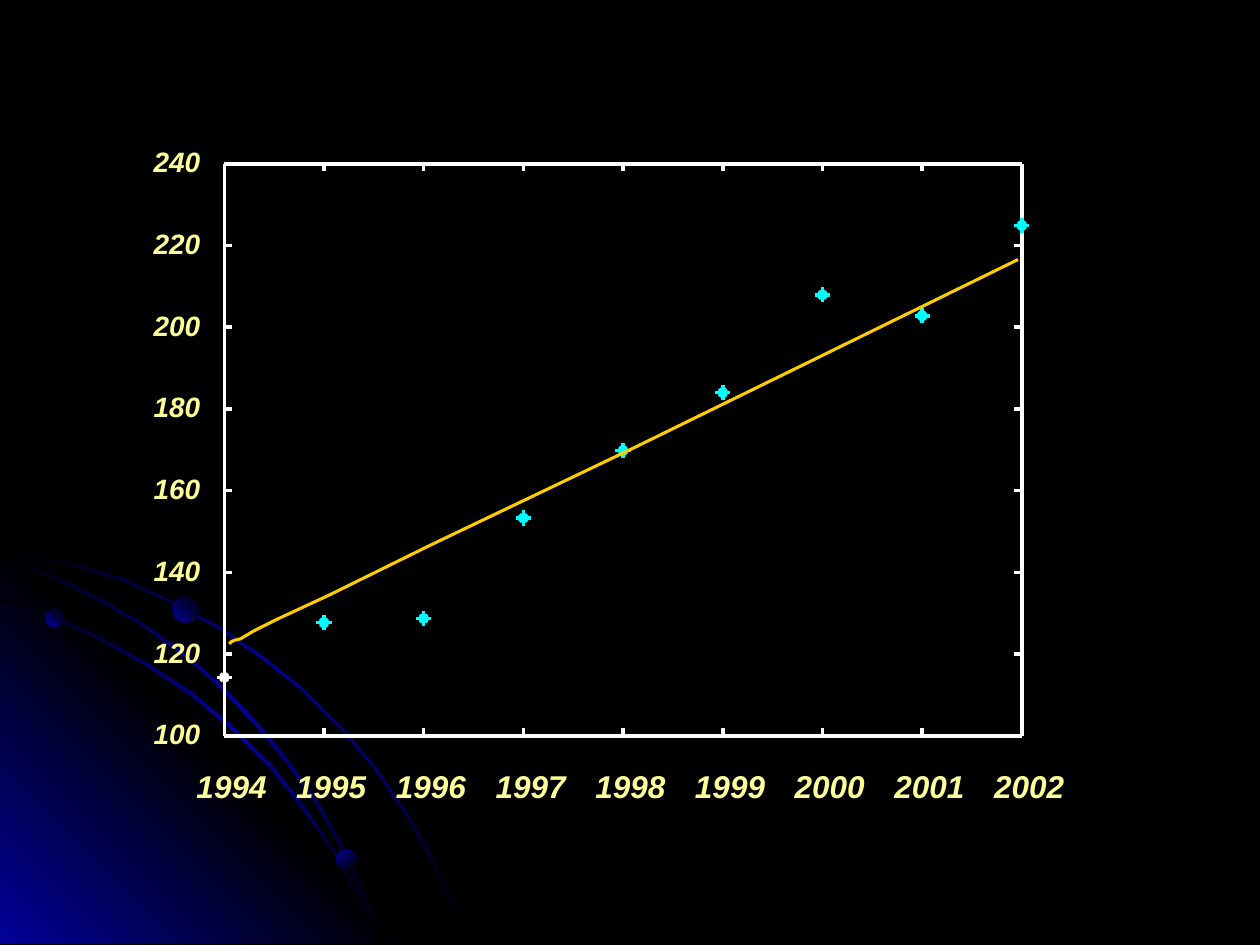
from dataclasses import dataclass

from lxml import etree
from pptx import Presentation
from pptx.dml.color import RGBColor
from pptx.enum.shapes import MSO_CONNECTOR, MSO_SHAPE
from pptx.enum.text import MSO_AUTO_SIZE
from pptx.oxml.ns import qn
from pptx.util import Cm, Pt

LINE, RECT, OVAL = MSO_CONNECTOR.STRAIGHT, MSO_SHAPE.RECTANGLE, MSO_SHAPE.OVAL
FIT = MSO_AUTO_SIZE.SHAPE_TO_FIT_TEXT

BLACK, BLUE, WHITE = "000000", "010199", "FFFFFF"
CYAN, GOLD, CREAM = "00FFFF", "FFCC00", "FFFF99"

# Plot area in inches
LEFT, TOP, RIGHT, BASE = 1.78, 1.3, 8.11, 5.84
FIRST, LAST = 1994, 2002
LOW, HIGH, STEP = 100, 240, 20
TICK = 0.06


@dataclass
class Band:
    points: list[tuple[float, float]]
    hues: tuple[str, ...]
    angle: int


@dataclass
class Ball:
    left: float
    top: float
    size: float
    angle: int


@dataclass
class Mark:
    year: int
    value: float
    hue: str = CYAN
    width: float = 2


GLOW = (BLACK, BLUE, BLACK)
BANDS = [
    Band([(0.57, 4.47), (0.28, 4.41), (0, 4.35), (0, 4.38), (0.28, 4.43),
          (0.56, 4.49), (0.97, 4.61), (1.35, 4.78), (1.73, 4.99), (2.08, 5.23),
          (2.41, 5.49), (2.71, 5.79), (2.98, 6.12), (3.23, 6.49), (3.37, 6.73),
          (3.5, 6.98), (3.6, 7.23), (3.7, 7.49), (3.72, 7.49), (3.62, 7.23),
          (3.52, 6.98), (3.39, 6.73), (3.25, 6.48), (3, 6.11), (2.72, 5.78),
          (2.42, 5.48), (2.09, 5.21), (1.74, 4.97), (1.36, 4.77), (0.98, 4.59)],
         GLOW, 45),
    Band([(3.22, 7.49), (0, 7.49), (0, 4.27)], (BLUE, BLACK, BLUE), 315),
    Band([(2.85, 7.14), (2.94, 7.32), (3.01, 7.49), (3.03, 7.49), (2.96, 7.3),
          (2.86, 7.12), (2.66, 6.76), (2.42, 6.4), (2.15, 6.06), (1.84, 5.76),
          (1.52, 5.49), (1.17, 5.26), (0.79, 5.05), (0.41, 4.88), (0, 4.75),
          (0, 4.77), (0.39, 4.9), (0.77, 5.07), (1.15, 5.28), (1.5, 5.51),
          (1.83, 5.78), (2.13, 6.08), (2.4, 6.42), (2.65, 6.77)], GLOW, 45),
    Band([(0, 4.42), (0, 4.44), (0.36, 4.57), (0.74, 4.75), (1.09, 4.94),
          (1.42, 5.18), (1.73, 5.44), (2.02, 5.75), (2.27, 6.05), (2.52, 6.41),
          (2.67, 6.67), (2.8, 6.94), (2.92, 7.22), (3.01, 7.49), (3.03, 7.49),
          (2.94, 7.2), (2.82, 6.93), (2.69, 6.65), (2.54, 6.39), (2.29, 6.03),
          (2.04, 5.73), (1.75, 5.43), (1.44, 5.16), (1.11, 4.93), (0.76, 4.73),
          (0.39, 4.55)], GLOW, 45),
]
BALLS = [Ball(0.36, 4.83, 0.15, 315), Ball(2.67, 6.74, 0.16, 45),
         Ball(1.37, 4.73, 0.21, 315)]
MARKS = [Mark(1994, 114.3, WHITE, 0), Mark(1995, 127.7), Mark(1996, 128.7),
         Mark(1997, 153.3), Mark(1998, 169.8), Mark(1999, 184),
         Mark(2000, 207.9), Mark(2001, 202.8), Mark(2002, 224.9)]
TREND = [(1.82, 5.11), (1.84, 5.09), (1.87, 5.08), (1.91, 5.07), (2.01, 5.01),
         (2.21, 4.91), (2.62, 4.72), (3.41, 4.33), (5.02, 3.56), (8.08, 2.06)]


def inch(size: float) -> int:
    return Cm(size * 2.54)


def rgb(code: str) -> RGBColor:
    return RGBColor.from_string(code)


def year_x(year: int) -> float:
    return LEFT + (RIGHT - LEFT) * (year - FIRST) / (LAST - FIRST)


def value_y(value: float) -> float:
    return BASE - (BASE - TOP) * (value - LOW) / (HIGH - LOW)


def shade(shape, hues: tuple[str, ...], angle: int) -> None:
    """Fill with an even gradient and no outline."""
    shape.shadow.inherit = False
    shape.line.fill.background()
    shape.fill.gradient()
    grad = shape.element.spPr.find(qn("a:gradFill"))
    for child in list(grad):
        grad.remove(child)
    stops = etree.SubElement(grad, qn("a:gsLst"))
    for i, hue in enumerate(hues):
        pos = str(100000 * i // (len(hues) - 1))
        stop = etree.SubElement(stops, qn("a:gs"), pos=pos)
        etree.SubElement(stop, qn("a:srgbClr"), val=hue)
    etree.SubElement(grad, qn("a:lin"), ang=str(angle * 60000), scaled="1")


def outline(shape, points: list[tuple[float, float]], close: bool):
    spots = [(inch(x), inch(y)) for x, y in points]
    pen = shape.build_freeform(*spots[0])
    pen.add_line_segments(spots[1:], close=close)
    return pen.convert_to_shape()


def stroke(shapes, x1: float, y1: float, x2: float, y2: float,
           hue: str = WHITE, width: float = 0) -> None:
    line = shapes.add_connector(LINE, inch(x1), inch(y1), inch(x2), inch(y2))
    line.line.color.rgb = rgb(hue)
    line.line.width = Pt(width)
    etree.SubElement(line.element.spPr, qn("a:effectLst"))


def label(shapes, text: str, x: float, y: float, w: float, h: float,
          size: int) -> None:
    box = shapes.add_textbox(inch(x), inch(y), inch(w), inch(h))
    frame = box.text_frame
    frame.margin_left = frame.margin_right = 0
    frame.margin_top = frame.margin_bottom = 0
    frame.word_wrap = False
    frame.auto_size = FIT
    run = frame.paragraphs[0].add_run()
    run.text = text
    font = run.font
    font.name, font.size = "Arial", Pt(size)
    font.bold = font.italic = True
    font.color.rgb = rgb(CREAM)


def draw_decor(shapes) -> None:
    for band in BANDS:
        shade(outline(shapes, band.points, True), band.hues, band.angle)
    for ball in BALLS:
        size = inch(ball.size)
        oval = shapes.add_shape(OVAL, inch(ball.left), inch(ball.top), size, size)
        shade(oval, (BLUE, BLACK), ball.angle)


def draw_axes(shapes) -> None:
    frame = shapes.add_shape(RECT, inch(LEFT), inch(TOP),
                             inch(RIGHT - LEFT), inch(BASE - TOP))
    frame.shadow.inherit = False
    frame.fill.background()
    frame.line.color.rgb = rgb(WHITE)
    frame.line.width = Pt(0)
    for year in range(FIRST, LAST + 1):
        x = year_x(year)
        stroke(shapes, x, BASE, x, BASE - TICK)
        stroke(shapes, x, TOP, x, TOP + TICK)
        label(shapes, str(year), x - 0.22, 6.09, 0.56, 0.3, 18)
    for value in range(LOW, HIGH + 1, STEP):
        y = value_y(value)
        stroke(shapes, LEFT, y, LEFT + TICK, y)
        stroke(shapes, RIGHT, y, RIGHT - TICK, y)
        label(shapes, str(value), 1.22, y - 0.15, 0.37, 0.27, 16)
    for y in (TOP, BASE):
        stroke(shapes, LEFT, y, RIGHT, y)
    for x in (RIGHT, LEFT):
        stroke(shapes, x, BASE, x, TOP)


def draw_mark(shapes, mark: Mark) -> None:
    """Draw an eight-armed star at the data point."""
    x, y = year_x(mark.year), value_y(mark.value)
    for dx, dy in ((0.06, 0), (0, 0.06), (0.03, 0.03), (-0.03, 0.03)):
        stroke(shapes, x - dx, y - dy, x + dx, y + dy, mark.hue, mark.width)


def main() -> None:
    deck = Presentation()
    deck.slide_width, deck.slide_height = inch(10), inch(7.5)
    slide = deck.slides.add_slide(deck.slide_layouts[6])
    back = slide.background.fill
    back.solid()
    back.fore_color.rgb = rgb(BLACK)
    draw_decor(slide.shapes.add_group_shape().shapes)
    plot = slide.shapes.add_group_shape().shapes
    draw_axes(plot)
    for mark in MARKS:
        draw_mark(plot, mark)
    trend = outline(slide.shapes, TREND, False)
    trend.shadow.inherit = False
    trend.fill.background()
    trend.line.color.rgb = rgb(GOLD)
    trend.line.width = Pt(1.75)
    deck.save("out.pptx")


if __name__ == "__main__":
    main()
